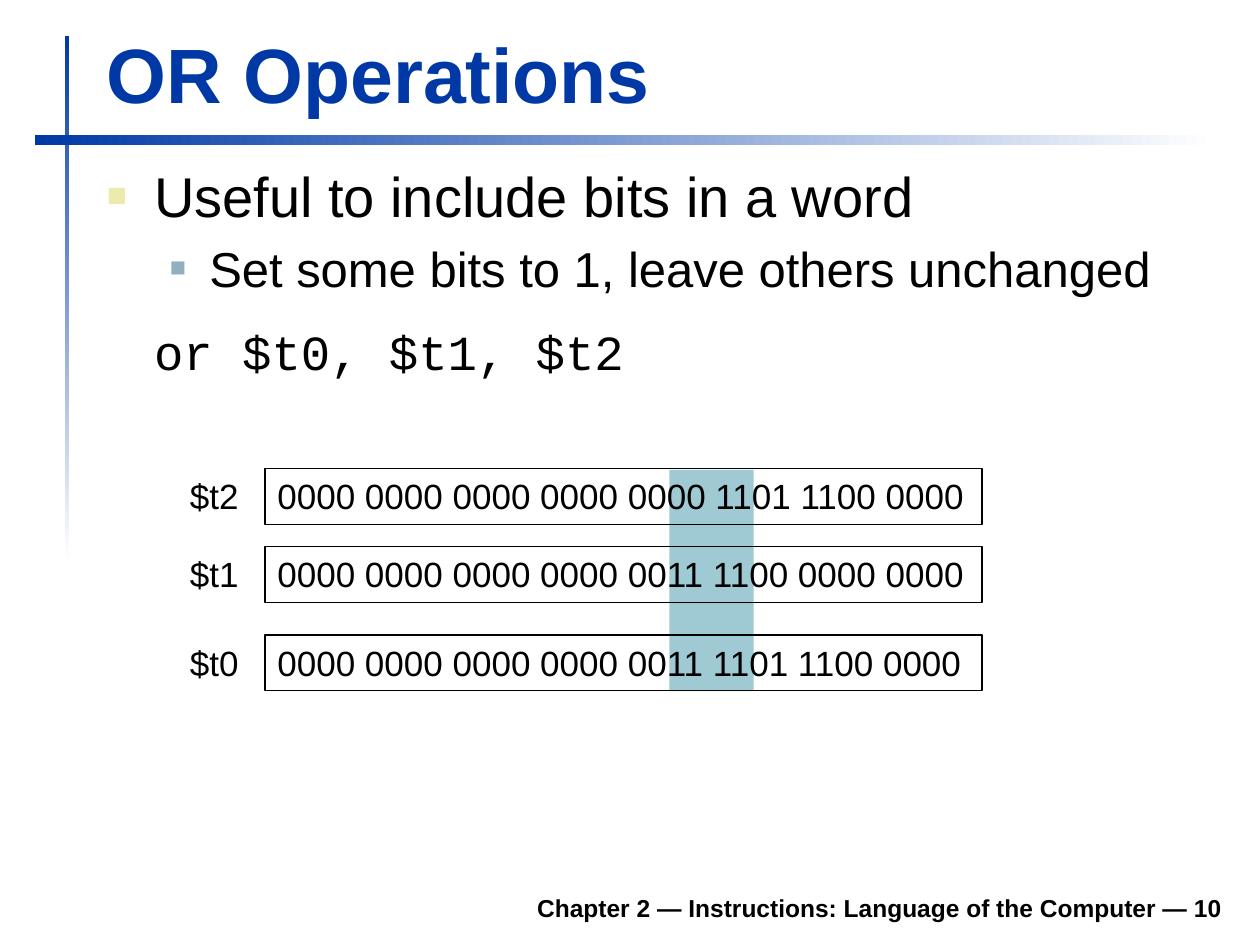
from dataclasses import dataclass

from lxml import etree
from pptx import Presentation
from pptx.dml.color import RGBColor
from pptx.enum import shapes, text
from pptx.oxml import ns
from pptx.util import Pt


@dataclass(frozen=True)
class Theme:
    blue: str = "0039A6"
    white: str = "FFFFFF"
    ink: str = "000000"
    band: str = "9FCAD3"
    bullet_main: str = "ECEAAC"
    bullet_sub: str = "91AFBF"
    sans: str = "Arial"
    mono: str = "Courier New"
    title: int = 44
    body: int = 32
    sub: int = 28
    register: int = 20
    footer: int = 14


THEME = Theme()

# register name, contents, top edge
REGISTERS = [
    ("$t2", "0000 0000 0000 0000 0000 1101 1100 0000", 267.8),
    ("$t1", "0000 0000 0000 0000 0011 1100 0000 0000", 312.4),
    ("$t0", "0000 0000 0000 0000 0011 1101 1100 0000", 362.8),
]


def write(paragraph, words, size, color=THEME.ink, font=THEME.sans, bold=False,
          align=text.PP_ALIGN.LEFT):
    paragraph.alignment = align
    run = paragraph.add_run()
    run.text = words
    run.font.size = Pt(size)
    run.font.name = font
    run.font.bold = bold
    run.font.color.rgb = RGBColor.from_string(color)


def add_text_frame(slide, left, top, width, height, anchor=text.MSO_ANCHOR.TOP):
    box = slide.shapes.add_textbox(Pt(left), Pt(top), Pt(width), Pt(height))
    box.text_frame.word_wrap = True
    box.text_frame.vertical_anchor = anchor
    return box.text_frame


def add_bar(slide, left, top, width, height):
    bar = slide.shapes.add_shape(shapes.MSO_SHAPE.RECTANGLE, Pt(left), Pt(top),
                                 Pt(width), Pt(height))
    bar.shadow.inherit = False
    bar.line.fill.background()
    return bar


def add_fading_rule(slide, left, top, width, height, angle):
    """Angle is counter-clockwise, as python-pptx counts it."""
    rule = add_bar(slide, left, top, width, height)
    rule.fill.gradient()
    rule.fill.gradient_angle = angle
    for stop, color in zip(rule.fill.gradient_stops, (THEME.blue, THEME.white)):
        stop.color.rgb = RGBColor.from_string(color)


def add_property(parent, tag, **attributes):
    return etree.SubElement(parent, ns.qn(tag), attributes)


def set_outline(paragraph, margin, hanging=0, before=20, after=0,
                bullet_color=None, bullet_size=100):
    """Spacing and bullet size are percentages of the text size."""
    props = paragraph._p.get_or_add_pPr()
    props.set("marL", str(Pt(margin)))
    props.set("indent", str(-Pt(hanging)))
    for tag, percent in (("a:spcBef", before), ("a:spcAft", after)):
        spacing = add_property(props, tag)
        add_property(spacing, "a:spcPct", val=str(percent * 1000))
    if bullet_color is None:
        add_property(props, "a:buNone")
        return
    color = add_property(props, "a:buClr")
    add_property(color, "a:srgbClr", val=bullet_color)
    add_property(props, "a:buSzPct", val=str(bullet_size * 1000))
    add_property(props, "a:buFont", typeface=THEME.sans)
    add_property(props, "a:buChar", char="■")


def add_body(slide):
    frame = add_text_frame(slide, 54, 88.6, 651.6, 163.4)
    main_point = frame.paragraphs[0]
    write(main_point, "Useful to include bits in a word", THEME.body)
    set_outline(main_point, 27, hanging=27,
                bullet_color=THEME.bullet_main, bullet_size=60)

    detail = frame.add_paragraph()
    detail.level = 1
    write(detail, "Set some bits to 1, leave others unchanged", THEME.sub)
    set_outline(detail, 58.5, hanging=22.5,
                bullet_color=THEME.bullet_sub, bullet_size=55)

    instruction = frame.add_paragraph()
    write(instruction, "or $t0, $t1, $t2", THEME.sub, font=THEME.mono)
    set_outline(instruction, 27, before=50, after=30)


def add_register_text(slide, words, left, top, width, height, outlined=False):
    box = slide.shapes.add_textbox(Pt(left), Pt(top), Pt(width), Pt(height))
    box.text_frame.word_wrap = False
    box.text_frame.auto_size = text.MSO_AUTO_SIZE.SHAPE_TO_FIT_TEXT
    write(box.text_frame.paragraphs[0], words, THEME.register)
    if outlined:
        box.line.color.rgb = RGBColor.from_string(THEME.ink)
        box.line.width = Pt(0.75)


def main():
    deck = Presentation()
    deck.slide_width, deck.slide_height = Pt(720), Pt(540)
    slide = deck.slides.add_slide(deck.slide_layouts[6])

    add_fading_rule(slide, 37, 20.5, 2.5, 300, angle=270)
    add_fading_rule(slide, 19.8, 77, 674.6, 5.8, angle=0)

    footer = add_text_frame(slide, 133.2, 502.6, 572.4, 28, text.MSO_ANCHOR.BOTTOM)
    write(footer.paragraphs[0],
          "Chapter 2 — Instructions: Language of the Computer — 10",
          THEME.footer, bold=True, align=text.PP_ALIGN.RIGHT)

    changed_bits = add_bar(slide, 382.5, 268.5, 48.2, 126.5)
    changed_bits.fill.solid()
    changed_bits.fill.fore_color.rgb = RGBColor.from_string(THEME.band)

    title = add_text_frame(slide, 54, 11.5, 650, 59.8, text.MSO_ANCHOR.BOTTOM)
    write(title.paragraphs[0], "OR Operations", THEME.title,
          color=THEME.blue, bold=True)
    add_body(slide)

    for name, bits, top in REGISTERS:
        add_register_text(slide, bits, 151.4, top, 409.8, 31.8, outlined=True)
        add_register_text(slide, name, 101.4, top, 42.2, 31.2)

    deck.save("out.pptx")


if __name__ == "__main__":
    main()
